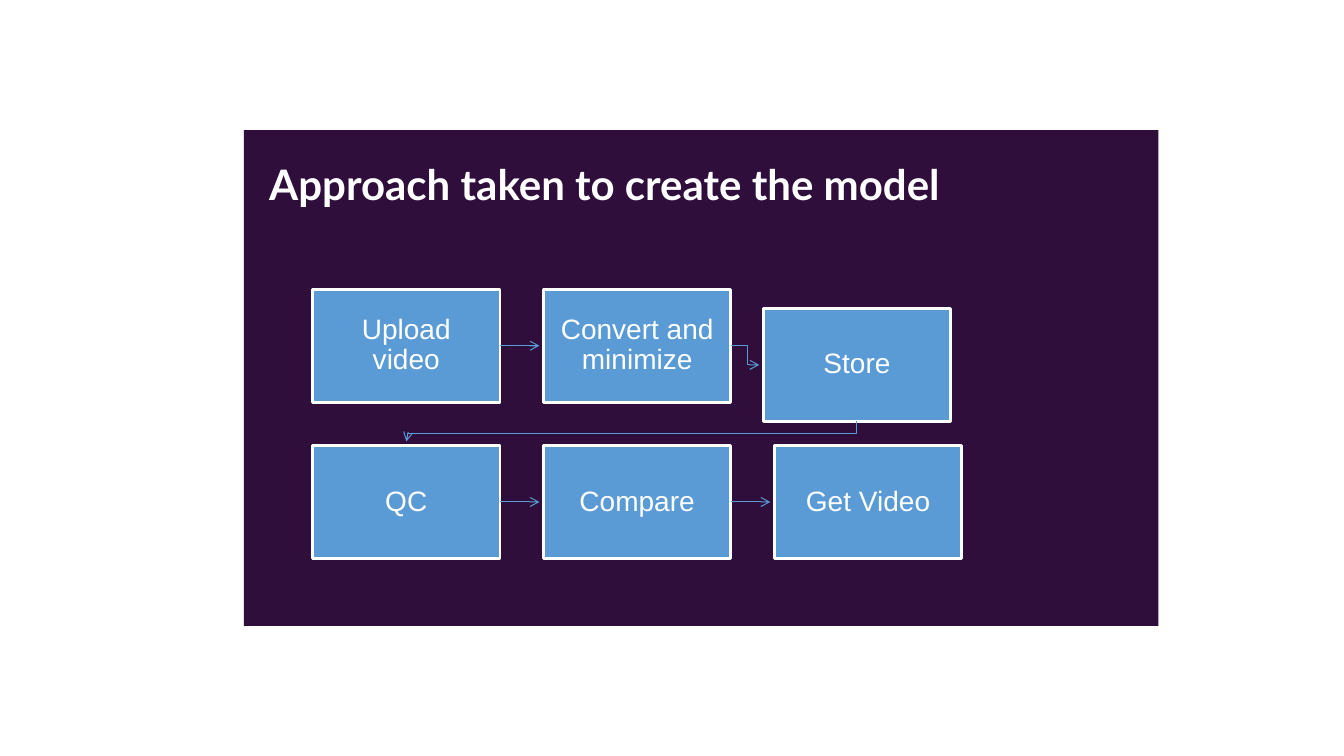
from lxml.etree import SubElement
from pptx import Presentation
from pptx.dml.color import RGBColor
from pptx.enum.shapes import MSO_CONNECTOR as Connector, MSO_SHAPE as Shape
from pptx.enum.text import MSO_ANCHOR as Anchor, MSO_AUTO_SIZE as AutoSize, PP_ALIGN as Align
from pptx.oxml.ns import qn
from pptx.util import Inches, Pt

COLORS = {"panel": "2F0E3C", "step": "5B9BD5", "light": "FFFFFF"}
STEP_W, STEP_H = 1.86, 1.12
PITCH_X, PITCH_Y = 2.29, 1.55
ARROW_GAP = 0.04


def color(name):
    """Return the named colour."""
    return RGBColor.from_string(COLORS[name])


def set_all(target, values):
    """Set each attribute in values on the target."""
    for key, value in values.items():
        setattr(target, key, value)


def style_text(frame, text, font, frame_format, paragraph_format):
    """Write one paragraph and format it in light type."""
    set_all(frame, frame_format)
    paragraph = frame.paragraphs[0]
    set_all(paragraph, paragraph_format)
    run = paragraph.add_run()
    run.text = text
    set_all(run.font, font)
    run.font.color.rgb = color("light")


def add_rect(slide, left, top, width, height, fill):
    """Add a flat rectangle without an outline."""
    rect = slide.shapes.add_shape(Shape.RECTANGLE, *map(Inches, (left, top, width, height)))
    rect.shadow.inherit = False
    rect.fill.solid()
    rect.fill.fore_color.rgb = color(fill)
    rect.line.fill.background()
    return rect


def add_heading(slide, text, left, top, width, height):
    """Place the slide title over a dark panel filling the box."""
    title = slide.shapes.title
    panel = add_rect(slide, left, top, width, height, "panel")
    title.element.addprevious(panel.element)
    set_all(title, {"left": Inches(left + 0.16), "top": Inches(top + 0.24),
                    "width": Inches(7.71), "height": Inches(1.17)})
    style_text(title.text_frame, text,
               {"name": "Lato", "size": Pt(30), "bold": True},
               {"vertical_anchor": Anchor.TOP, "word_wrap": True, "auto_size": AutoSize.NONE,
                "margin_left": Inches(0.09), "margin_right": Inches(0.09),
                "margin_top": Inches(0.04), "margin_bottom": Inches(0.04)},
               {"alignment": Align.LEFT})


def add_step(slide, text, left, top):
    """Add one process step."""
    step = add_rect(slide, left, top, STEP_W, STEP_H, "step")
    step.line.color.rgb = color("light")
    step.line.width = Pt(2)
    margins = {f"margin_{side}": Inches(0.15) for side in ("left", "right", "top", "bottom")}
    style_text(step.text_frame, text, {"name": "Arial", "size": Pt(20)},
               {"vertical_anchor": Anchor.MIDDLE, "word_wrap": True, **margins},
               {"alignment": Align.CENTER, "line_spacing": 0.9, "space_after": Pt(7)})
    return step


def style_arrow(arrow):
    """Give a line its colour, width and open arrowhead."""
    arrow.line.color.rgb = color("step")
    arrow.line.width = Pt(0.75)
    properties = arrow.element.spPr
    SubElement(properties.find(qn("a:ln")), qn("a:tailEnd"), type="arrow")
    if properties.find(qn("a:effectLst")) is None:
        SubElement(properties, qn("a:effectLst"))


def add_straight_arrow(slide, source, target):
    """Point from one step to its right neighbour."""
    middle = source.top + source.height // 2
    arrow = slide.shapes.add_connector(Connector.STRAIGHT, source.left + source.width, middle,
                                       target.left - Inches(ARROW_GAP), middle)
    arrow.begin_connect(source, 3)
    style_arrow(arrow)


def add_bent_arrow(slide, points):
    """Draw an arrow along right-angled points."""
    builder = slide.shapes.build_freeform(*points[0])
    builder.add_line_segments(points[1:], close=False)
    arrow = builder.convert_to_shape()
    arrow.shadow.inherit = False
    arrow.fill.background()
    style_arrow(arrow)


def add_process(slide, rows, left, top, store_shift):
    """Lay out the steps on a grid, shift the store step and link them."""
    steps = []
    for row, names in enumerate(rows):
        for column, name in enumerate(names):
            dx, dy = store_shift if name == "Store" else (0, 0)
            steps.append(add_step(slide, name, left + column * PITCH_X + dx,
                                  top + row * PITCH_Y + dy))
    upload, convert, store, qc, compare, get_video = steps
    for source, target in ((upload, convert), (qc, compare), (compare, get_video)):
        add_straight_arrow(slide, source, target)

    gap = Inches(ARROW_GAP)
    convert_right = convert.left + convert.width
    convert_middle = convert.top + convert.height // 2
    store_middle = store.top + store.height // 2
    bend_x = (convert_right + store.left) // 2
    add_bent_arrow(slide, [(convert_right, convert_middle), (bend_x, convert_middle),
                           (bend_x, store_middle), (store.left - gap, store_middle)])

    store_center = store.left + store.width // 2
    store_bottom = store.top + store.height
    qc_center = qc.left + qc.width // 2
    bend_y = (store_bottom + qc.top) // 2
    add_bent_arrow(slide, [(store_center, store_bottom), (store_center, bend_y),
                           (qc_center, bend_y), (qc_center, qc.top - gap)])


def main():
    """Build and save the slide."""
    deck = Presentation()
    set_all(deck, {"slide_width": Inches(13.33), "slide_height": Inches(7.5)})
    slide = deck.slides.add_slide(deck.slide_layouts[5])
    add_heading(slide, "Approach taken to create the model", 2.42, 1.29, 9.07, 4.92)
    add_process(slide, [("Upload video", "Convert and minimize", "Store"),
                        ("QC", "Compare", "Get Video")], 3.1, 2.87, (-0.11, 0.19))
    deck.save("out.pptx")


if __name__ == "__main__":
    main()
